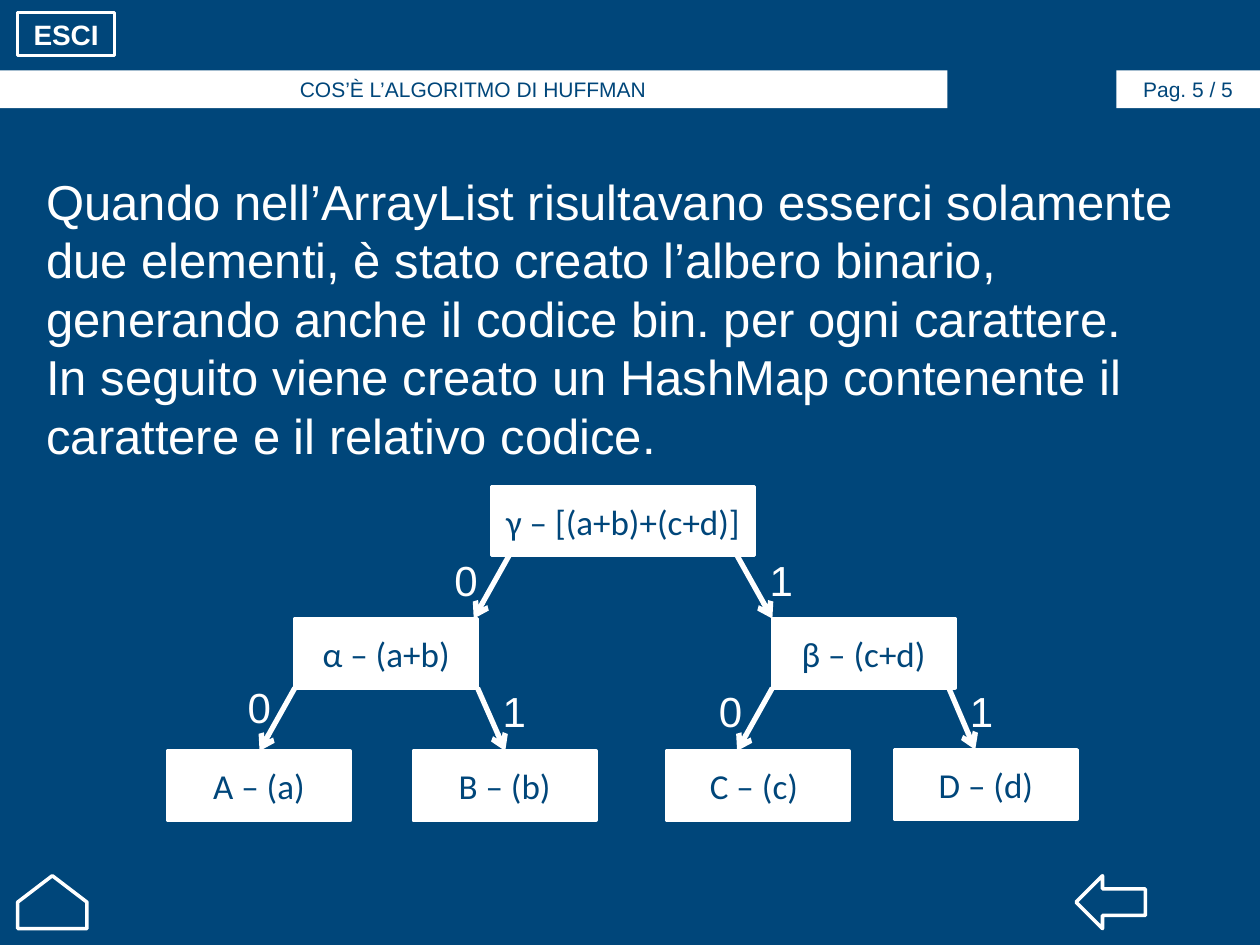
from dataclasses import dataclass

from pptx import Presentation
from pptx.dml.color import RGBColor
from pptx.enum.shapes import MSO_CONNECTOR as Connector, MSO_SHAPE as Preset
from pptx.enum.text import MSO_ANCHOR as Anchor, MSO_AUTO_SIZE as AutoSize, PP_ALIGN as Align
from pptx.oxml.ns import qn
from pptx.util import Inches, Pt


@dataclass(frozen=True)
class Theme:
    blue: RGBColor = RGBColor(0x00, 0x46, 0x7A)
    white: RGBColor = RGBColor(0xFF, 0xFF, 0xFF)
    font: str = "Arial"
    node_font: str = "Calibri"
    header_size: int = 12
    button_size: int = 16
    node_size: int = 20
    label_size: int = 24
    body_size: int = 28
    body_spacing: float = 33.5
    outline: int = 2
    arrow: int = 3


THEME = Theme()
NODE_HEIGHT = 0.55
CHILD_WIDTH = 1.45

BODY = [
    "Quando nell’ArrayList risultavano esserci solamente due elementi, è stato creato "
    "l’albero binario, generando anche il codice bin. per ogni carattere.",
    "In seguito viene creato un HashMap contenente il carattere e il relativo codice.",
]

# name: (text, left, top, width)
NODES = {
    "A": ("A – (a)", 1.33, 5.96, CHILD_WIDTH),
    "α": ("α – (a+b)", 2.34, 4.91, CHILD_WIDTH),
    "B": ("B – (b)", 3.28, 5.96, CHILD_WIDTH),
    "β": ("β – (c+d)", 6.13, 4.91, CHILD_WIDTH),
    "C": ("C – (c) ", 5.29, 5.96, CHILD_WIDTH),
    "D": ("D – (d)", 7.1, 5.95, CHILD_WIDTH),
    "γ": ("γ – [(a+b)+(c+d)]", 3.9, 3.86, 2.09),
}

# parent, child, start x, end x, bit, label left, label top
EDGES = [
    ("α", "A", 2.34, 2.06, "0", 1.78, 5.36),
    ("α", "B", 3.79, 4.01, "1", 3.89, 5.39),
    ("γ", "α", 4.04, 3.76, "0", 3.42, 4.35),
    ("γ", "β", 5.85, 6.13, "1", 6.01, 4.35),
    ("β", "D", 7.53, 7.74, "1", 7.6, 5.39),
    ("β", "C", 6.13, 5.85, "0", 5.52, 5.39),
]


def write_text(shape, *paragraphs, size, color, font=THEME.font, bold=False,
               align=Align.LEFT, anchor=Anchor.TOP, grow=False, spacing=None):
    frame = shape.text_frame
    frame.word_wrap = True
    frame.vertical_anchor = anchor
    frame.auto_size = AutoSize.SHAPE_TO_FIT_TEXT if grow else AutoSize.NONE
    for index, text in enumerate(paragraphs):
        paragraph = frame.paragraphs[0] if index == 0 else frame.add_paragraph()
        paragraph.alignment = align
        if spacing:
            paragraph.line_spacing = Pt(spacing)
        run = paragraph.add_run()
        run.text = text
        run.font.name = font
        run.font.size = Pt(size)
        run.font.bold = bold
        run.font.color.rgb = color


def add_box(slide, preset, left, top, width, height, fill, outlined=True):
    shape = slide.shapes.add_shape(
        preset, Inches(left), Inches(top), Inches(width), Inches(height))
    shape.shadow.inherit = False
    shape.fill.solid()
    shape.fill.fore_color.rgb = fill
    if outlined:
        shape.line.color.rgb = THEME.white
        shape.line.width = Pt(THEME.outline)
    else:
        shape.line.fill.background()
    return shape


def add_text(slide, left, top, width, height, *paragraphs, **text_format):
    box = slide.shapes.add_textbox(
        Inches(left), Inches(top), Inches(width), Inches(height))
    write_text(box, *paragraphs, color=THEME.white, grow=True, **text_format)


def add_header(slide, left, width, text):
    bar = add_box(slide, Preset.RECTANGLE, left, 0.56, width, 0.3, THEME.white, outlined=False)
    write_text(bar, text, size=THEME.header_size, color=THEME.blue,
               align=Align.CENTER, grow=True)


def add_node(slide, text, left, top, width):
    node = add_box(slide, Preset.RECTANGLE, left, top, width, NODE_HEIGHT, THEME.white)
    write_text(node, text, size=THEME.node_size, color=THEME.blue, font=THEME.node_font,
               align=Align.CENTER, anchor=Anchor.MIDDLE)


def add_arrow(slide, start_x, start_y, end_x, end_y):
    arrow = slide.shapes.add_connector(
        Connector.STRAIGHT, Inches(start_x), Inches(start_y), Inches(end_x), Inches(end_y))
    arrow.line.color.rgb = THEME.white
    arrow.line.width = Pt(THEME.arrow)
    properties = arrow._element.spPr
    line = properties.find(qn("a:ln"))
    line.append(line.makeelement(qn("a:tailEnd"), {"type": "arrow"}))
    properties.append(properties.makeelement(qn("a:effectLst"), {}))


def add_navigation(slide):
    home = add_box(slide, Preset.UP_ARROW, 0.14, 6.95, 0.55, 0.42, THEME.blue)
    home.adjustments[0] = 1
    home.adjustments[1] = 0.5
    add_box(slide, Preset.LEFT_ARROW, 8.54, 6.95, 0.55, 0.42, THEME.blue)
    leave = add_box(slide, Preset.ACTION_BUTTON_CUSTOM, 0.14, 0.1, 0.77, 0.34, THEME.blue)
    write_text(leave, "ESCI", size=THEME.button_size, color=THEME.white, bold=True,
               align=Align.CENTER, anchor=Anchor.MIDDLE)


def add_tree(slide):
    for node in NODES.values():
        add_node(slide, *node)
    for parent, child, start_x, end_x, bit, label_left, label_top in EDGES:
        parent_bottom = NODES[parent][2] + NODE_HEIGHT
        add_arrow(slide, start_x, parent_bottom, end_x, NODES[child][2])
        add_text(slide, label_left, label_top, 0.47, 0.5, bit, size=THEME.label_size,
                 align=Align.RIGHT if bit == "0" else Align.LEFT)


def main():
    presentation = Presentation()
    presentation.slide_width = Inches(10)
    presentation.slide_height = Inches(7.5)
    slide = presentation.slides.add_slide(presentation.slide_layouts[6])
    slide.background.fill.solid()
    slide.background.fill.fore_color.rgb = THEME.blue

    add_header(slide, -0.01, 7.53, "COS’È L’ALGORITMO DI HUFFMAN")
    add_header(slide, 8.86, 1.14, "Pag. 5 / 5")
    add_text(slide, 0.27, 1.31, 9.53, 2.46, *BODY,
             size=THEME.body_size, spacing=THEME.body_spacing)
    add_navigation(slide)
    add_tree(slide)
    presentation.save("out.pptx")


if __name__ == "__main__":
    main()
